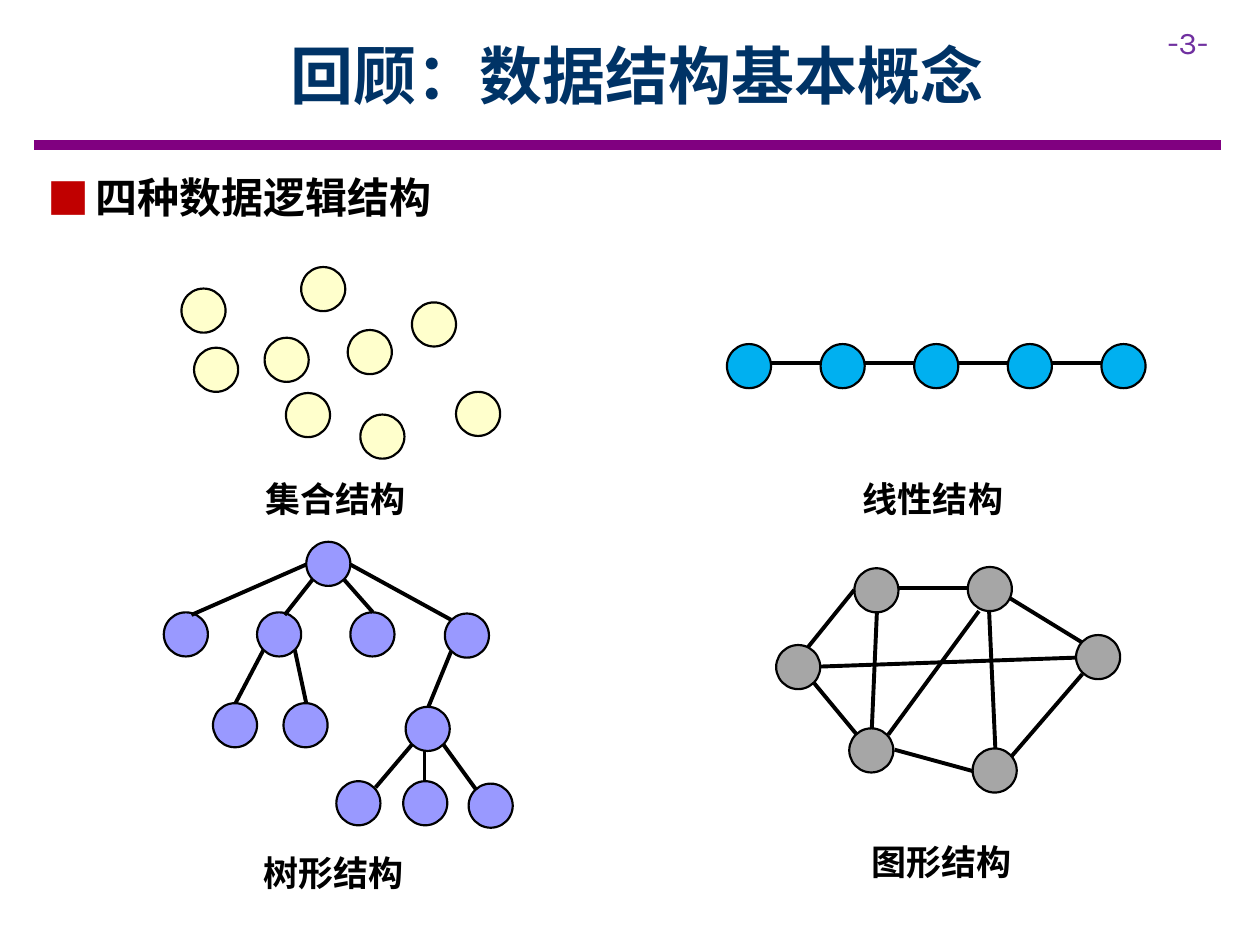
import pptx
import pptx.util
import pptx.dml.color
import pptx.oxml.ns
import pptx.enum.shapes
import pptx.enum.text
from lxml import etree

Pt = pptx.util.Pt
CHINESE_FONT = "Noto Sans CJK SC"
NODE_SIZE = 25.2
CAPTION_SIZE = (123.1, 31.7)

TITLE = "回顾：数据结构基本概念"
HEADING = "四种数据逻辑结构"
PAGE_NUMBER = "-3-"

CHAIN_LEFT, CHAIN_TOP, CHAIN_STEP, CHAIN_COUNT = 415.4, 196.6, 53.5, 5
CHAIN_LINE_TOP = 207.4
chain_lefts = [CHAIN_LEFT + CHAIN_STEP * i for i in range(CHAIN_COUNT)]

# Nodes are (left, top); edges are (x1, y1, x2, y2).
STRUCTURES = [
    {
        "caption": "集合结构", "caption_at": (144.7, 269.3), "color": "FFFFCC",
        "nodes": [(103.7, 164.9), (110.9, 198.7), (198.7, 188.6),
                  (151.2, 193), (172.1, 152.6), (163.4, 224.6),
                  (235.4, 172.8), (205.9, 236.9), (260.6, 223.9)],
        "edges": [],
    },
    {
        "caption": "线性结构", "caption_at": (486, 269.3), "color": "00B0F0",
        "nodes": [(left, CHAIN_TOP) for left in chain_lefts],
        "edges": [(left + NODE_SIZE, CHAIN_LINE_TOP,
                   left + CHAIN_STEP, CHAIN_LINE_TOP)
                  for left in chain_lefts[:-1]],
    },
    {
        "caption": "树形结构", "caption_at": (143.3, 483.1), "color": "9999FF",
        "nodes": [(175, 309.6),
                  (93.6, 349.9), (146.9, 349.9), (200.2, 349.9), (254.2, 350.6),
                  (121.7, 401.8), (162, 401.8), (231.8, 403.9),
                  (192.2, 446.4), (230.4, 446.4), (267.8, 447.8)],
        "edges": [(175, 322.6, 109.4, 351.4), (178.6, 331.2, 162.7, 351.4),
                  (196.6, 331.2, 213.1, 349.9), (200.2, 322.6, 257.8, 354.2),
                  (150.5, 371.5, 134.6, 401.8), (168.5, 371.5, 175, 401.8),
                  (257.8, 372.2, 244.8, 403.9), (235.4, 425.5, 214.6, 450),
                  (242.6, 429.1, 242.6, 446.4), (253.4, 425.5, 272.2, 451.4)],
    },
    {
        "caption": "图形结构", "caption_at": (491, 476.6), "color": "A6A6A6",
        "nodes": [(443.5, 368.6), (488.2, 324.7), (553, 324),
                  (614.9, 362.9), (555.8, 427.7), (485.3, 416.2)],
        "edges": [(461.5, 370.1, 488.2, 337), (513.4, 336.2, 553, 336.2),
                  (577.4, 342, 618.5, 367.2), (618.5, 385.2, 578.2, 432),
                  (555.8, 440.6, 511.2, 428.4), (489.6, 419.8, 465.1, 390.2),
                  (501.1, 349.9, 498.2, 416.2), (507.6, 419.8, 559.4, 349.2),
                  (565.2, 349.2, 568.8, 427.7), (468.7, 380.9, 614.9, 375.8)],
    },
]


def rgb(value):
    return pptx.dml.color.RGBColor.from_string(value)


def add_xml(parent, tag, **attributes):
    return etree.SubElement(parent, pptx.oxml.ns.qn(tag), attributes)


def place(shape, left, top, width, height):
    shape.left, shape.top = Pt(left), Pt(top)
    shape.width, shape.height = Pt(width), Pt(height)


def write(shape, text, size, color, font=CHINESE_FONT, bold=True):
    """Fill the first paragraph of a shape with one run and return it."""
    frame = shape.text_frame
    frame.word_wrap = True
    frame.auto_size = pptx.enum.text.MSO_AUTO_SIZE.NONE
    paragraph = frame.paragraphs[0]
    paragraph.space_before = Pt(0)
    run = paragraph.add_run()
    run.text = text
    run.font.size = Pt(size)
    run.font.bold = bold
    run.font.color.rgb = rgb(color)
    run.font.name = font
    add_xml(run.font._element, "a:ea", typeface=font)
    return paragraph


def add_text(slide, box, *style, **options):
    shape = slide.shapes.add_textbox(*map(Pt, box))
    write(shape, *style, **options)


def add_line(slide, ends, color, width):
    line = slide.shapes.add_connector(
        pptx.enum.shapes.MSO_CONNECTOR.STRAIGHT, *map(Pt, ends))
    line.line.color.rgb = rgb(color)
    line.line.width = Pt(width)
    add_xml(line._element.spPr, "a:effectLst")


def add_node(slide, left, top, color):
    node = slide.shapes.add_shape(
        pptx.enum.shapes.MSO_SHAPE.OVAL,
        Pt(left), Pt(top), Pt(NODE_SIZE), Pt(NODE_SIZE))
    node.shadow.inherit = False
    node.fill.solid()
    node.fill.fore_color.rgb = rgb(color)
    node.line.color.rgb = rgb("000000")
    node.line.width = Pt(1.25)


def add_heading(body):
    place(body, 20.2, 94.3, 252, 36)
    paragraph = write(body, HEADING, 24, "000000")
    properties = paragraph._element.get_or_add_pPr()
    properties.set("marL", str(Pt(27)))
    properties.set("indent", str(Pt(-27)))
    bullet_color = add_xml(properties, "a:buClr")
    add_xml(bullet_color, "a:srgbClr", val="C00000")
    add_xml(properties, "a:buFont", typeface=CHINESE_FONT)
    add_xml(properties, "a:buChar", char="■")


def main():
    presentation = pptx.Presentation()
    presentation.slide_width, presentation.slide_height = Pt(720), Pt(540)
    slide = presentation.slides.add_slide(presentation.slide_layouts[1])

    add_line(slide, (19.4, 82.8, 697.7, 82.8), "800080", 6)
    add_text(slide, (660.2, 9.4, 59.8, 28.8), PAGE_NUMBER, 18, "7030A0",
             font="Karla", bold=False)

    title, body = slide.placeholders
    place(title, 64.8, 6.5, 598.3, 72)
    title.text_frame.vertical_anchor = pptx.enum.text.MSO_ANCHOR.MIDDLE
    paragraph = write(title, TITLE, 36, "003366")
    paragraph.alignment = pptx.enum.text.PP_ALIGN.CENTER
    add_heading(body)

    for structure in STRUCTURES:
        for left, top in structure["nodes"]:
            add_node(slide, left, top, structure["color"])
        for ends in structure["edges"]:
            add_line(slide, ends, "000000", 2.25)
        add_text(slide, structure["caption_at"] + CAPTION_SIZE,
                 structure["caption"], 20, "000000")

    presentation.save("out.pptx")


if __name__ == "__main__":
    main()
